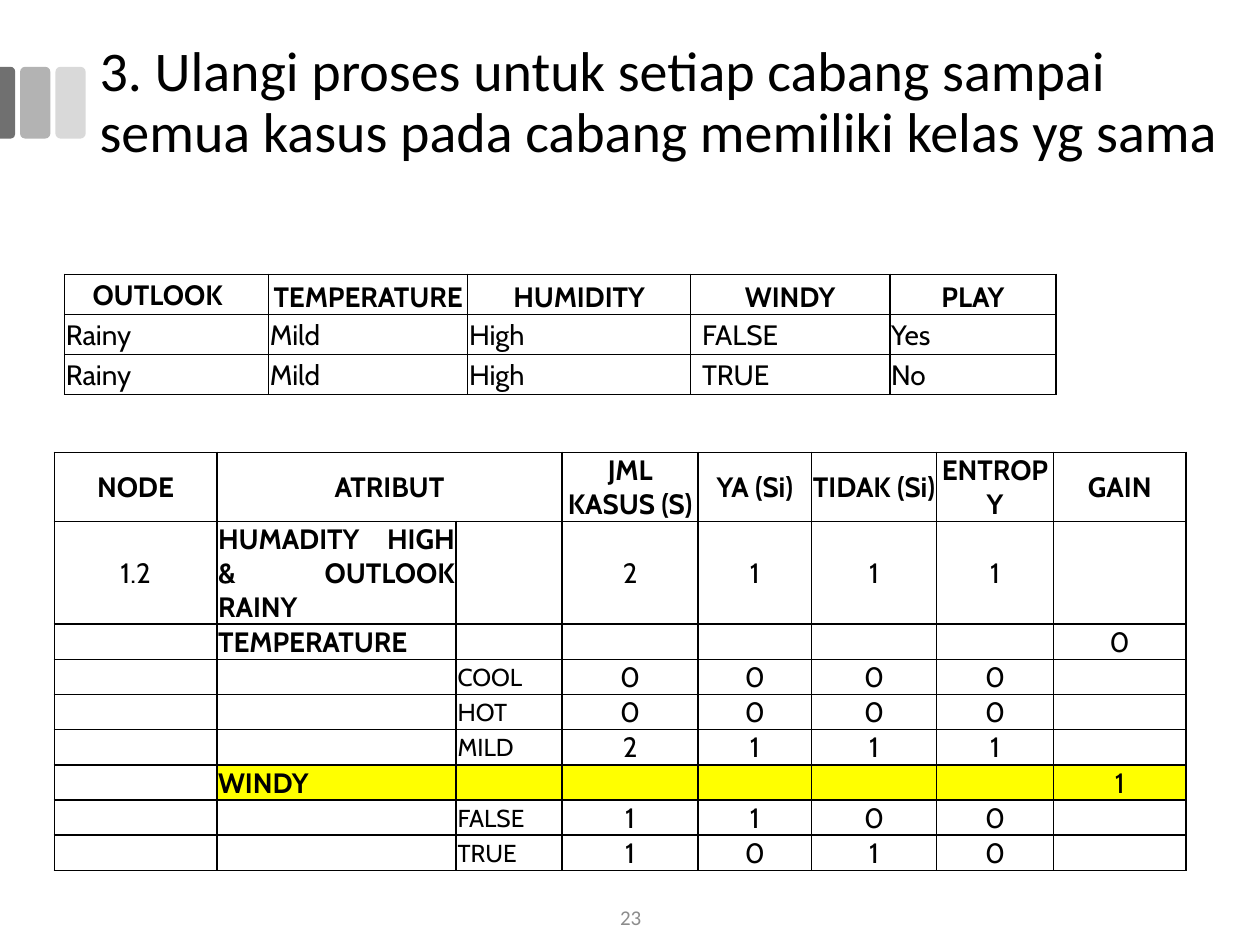
from lxml.etree import SubElement
from pptx import Presentation
from pptx.dml.color import RGBColor
from pptx.enum.shapes import MSO_SHAPE as Shape
from pptx.enum.text import MSO_ANCHOR as Anchor, PP_ALIGN as Align
from pptx.oxml.ns import qn
from pptx.util import Pt

BLACK, WHITE, YELLOW = "000000", "FFFFFF", "FFFF00"


def color(hex_string):
    return RGBColor.from_string(hex_string)


def style_paragraph(paragraph, size, font_name, font_color, bold=False, align=Align.LEFT):
    paragraph.alignment = align
    for run in paragraph.runs:
        run.font.size = Pt(size)
        run.font.name = font_name
        run.font.bold = bold
        run.font.color.rgb = color(font_color)


def add_bar(slide, preset, left, top, width, height, fill):
    bar = slide.shapes.add_shape(preset, Pt(left), Pt(top), Pt(width), Pt(height))
    bar.shadow.inherit = False
    bar.fill.solid()
    bar.fill.fore_color.rgb = color(fill)
    bar.line.fill.background()
    return bar


def add_side_bars(slide, left, top, width, height):
    """Three bars, the first one cut by the slide edge."""
    bar_width, pitch = 17.3, 20.2
    for index, fill in ((2, "D9D9D9"), (1, "B3B3B3")):
        add_bar(slide, Shape.ROUNDED_RECTANGLE, left + width - bar_width - (2 - index) * pitch,
                top, bar_width, height, fill)
    edge_width = 8.6
    edge = add_bar(slide, Shape.ROUND_2_SAME_RECTANGLE, left + (edge_width - height) / 2,
                   top + (height - edge_width) / 2, height, edge_width, "707070")
    edge.rotation = 90
    edge.adjustments[0] = 0.29


def add_title(slide, left, top, width, height):
    title = slide.shapes.title
    title.left, title.top, title.width, title.height = Pt(left), Pt(top), Pt(width), Pt(height)
    text_frame = title.text_frame
    text_frame.text = ("3. Ulangi proses untuk setiap cabang sampai semua kasus "
                       "pada cabang memiliki kelas yg sama")
    text_frame.vertical_anchor = Anchor.MIDDLE
    text_frame.word_wrap = True
    paragraph = text_frame.paragraphs[0]
    paragraph.line_spacing = 0.9
    style_paragraph(paragraph, 32, "Calibri", BLACK)


def add_borders(cell):
    properties = cell._tc.get_or_add_tcPr()
    for position, side in enumerate(("a:lnL", "a:lnR", "a:lnT", "a:lnB")):
        line = SubElement(properties, qn(side), w=str(Pt(1)))
        fill = SubElement(line, qn("a:solidFill"))
        SubElement(fill, qn("a:srgbClr"), val=BLACK)
        properties.insert(position, line)


def fill_cell(cell, text, size=16, bold=False, align=Align.LEFT, fill=WHITE):
    cell.fill.solid()
    cell.fill.fore_color.rgb = color(fill)
    add_borders(cell)
    cell.margin_left = cell.margin_right = cell.margin_top = Pt(0.75)
    cell.margin_bottom = Pt(0)
    cell.vertical_anchor = Anchor.MIDDLE
    cell.text = text
    paragraph = cell.text_frame.paragraphs[0]
    style_paragraph(paragraph, size, "Cabin", BLACK, bold, align)
    if not text:  # a small end mark keeps empty rows low
        SubElement(paragraph._p, qn("a:endParaRPr"), sz="1200")


def add_grid(slide, left, top, column_widths, row_heights):
    table = slide.shapes.add_table(
        len(row_heights), len(column_widths), Pt(left), Pt(top),
        Pt(sum(column_widths)), Pt(sum(row_heights))).table
    table.first_row = table.horz_banding = False
    for column, width in zip(table.columns, column_widths):
        column.width = Pt(width)
    for row, height in zip(table.rows, row_heights):
        row.height = Pt(height)
    return table


def add_case_table(slide, left, top):
    """The cases left in this branch."""
    rows = [
        ("OUTLOOK", "TEMPERATURE", "HUMIDITY", "WINDY", "PLAY"),
        ("Rainy", "Mild", "High", "FALSE", "Yes"),
        ("Rainy", "Mild", "High", "TRUE", "No"),
    ]
    table = add_grid(slide, left, top, (116.6, 113.8, 127.4, 113.8, 95), (22.9,) * 3)
    for row_index, values in enumerate(rows):
        header = row_index == 0
        for column_index, value in enumerate(values):
            cell = table.cell(row_index, column_index)
            fill_cell(cell, value, bold=header, align=Align.CENTER if header else Align.LEFT)
            if header and column_index > 0:
                cell.vertical_anchor = Anchor.BOTTOM
            if not header and column_index == 3:
                cell.margin_left = Pt(6.5)
    table.cell(0, 0).margin_right = Pt(11)


def add_gain_table(slide, left, top):
    """Entropy and gain per attribute, with the best attribute marked."""
    rows = [
        ("NODE", "ATRIBUT", "", "JML KASUS (S)", "YA (Si)", "TIDAK (Si)", "ENTROPY", "GAIN"),
        ("1.2", "HUMADITY HIGH & OUTLOOK RAINY", "", "2", "1", "1", "1", ""),
        ("", "TEMPERATURE", "", "", "", "", "", "0"),
        ("", "", "COOL", "0", "0", "0", "0", ""),
        ("", "", "HOT", "0", "0", "0", "0", ""),
        ("", "", "MILD", "2", "1", "1", "1", ""),
        ("", "WINDY", "", "", "", "", "", "1"),
        ("", "", "FALSE", "1", "1", "0", "0", ""),
        ("", "", "TRUE", "1", "0", "1", "0", ""),
    ]
    table = add_grid(slide, left, top, (92.9, 136.8, 60.5, 77.8, 64.8, 71.3, 67, 75.6),
                     (39, 39) + (20.1,) * 7)
    for row_index, values in enumerate(rows):
        header = row_index == 0
        best = values[1] == "WINDY"
        for column_index, value in enumerate(values):
            label = column_index in (1, 2)
            fill_cell(
                table.cell(row_index, column_index), value,
                size=14 if column_index == 2 else 16,
                bold=header or column_index == 1,
                align=Align.CENTER if header or not label else Align.LEFT,
                fill=YELLOW if best and column_index > 0 else WHITE)
    table.cell(1, 1).text_frame.paragraphs[0].alignment = Align.JUSTIFY
    table.cell(0, 1).merge(table.cell(0, 2))


def add_page_number(slide, left, top, width, height):
    box = slide.shapes.add_textbox(Pt(left), Pt(top), Pt(width), Pt(height))
    text_frame = box.text_frame
    text_frame.word_wrap = True
    text_frame.vertical_anchor = Anchor.MIDDLE
    text_frame.text = "23"
    style_paragraph(text_frame.paragraphs[0], 12, "Calibri", "8C8C8C", align=Align.CENTER)


def main():
    presentation = Presentation()
    presentation.slide_width, presentation.slide_height = Pt(720), Pt(540)
    slide = presentation.slides.add_slide(presentation.slide_layouts[5])
    add_side_bars(slide, 0, 38.2, 49, 41)
    add_title(slide, 49.7, 12.2, 670.3, 94.3)
    add_case_table(slide, 36.9, 156.8)
    add_gain_table(slide, 31, 258.5)
    add_page_number(slide, 279.4, 509.8, 162, 28.8)
    presentation.save("out.pptx")


if __name__ == "__main__":
    main()
